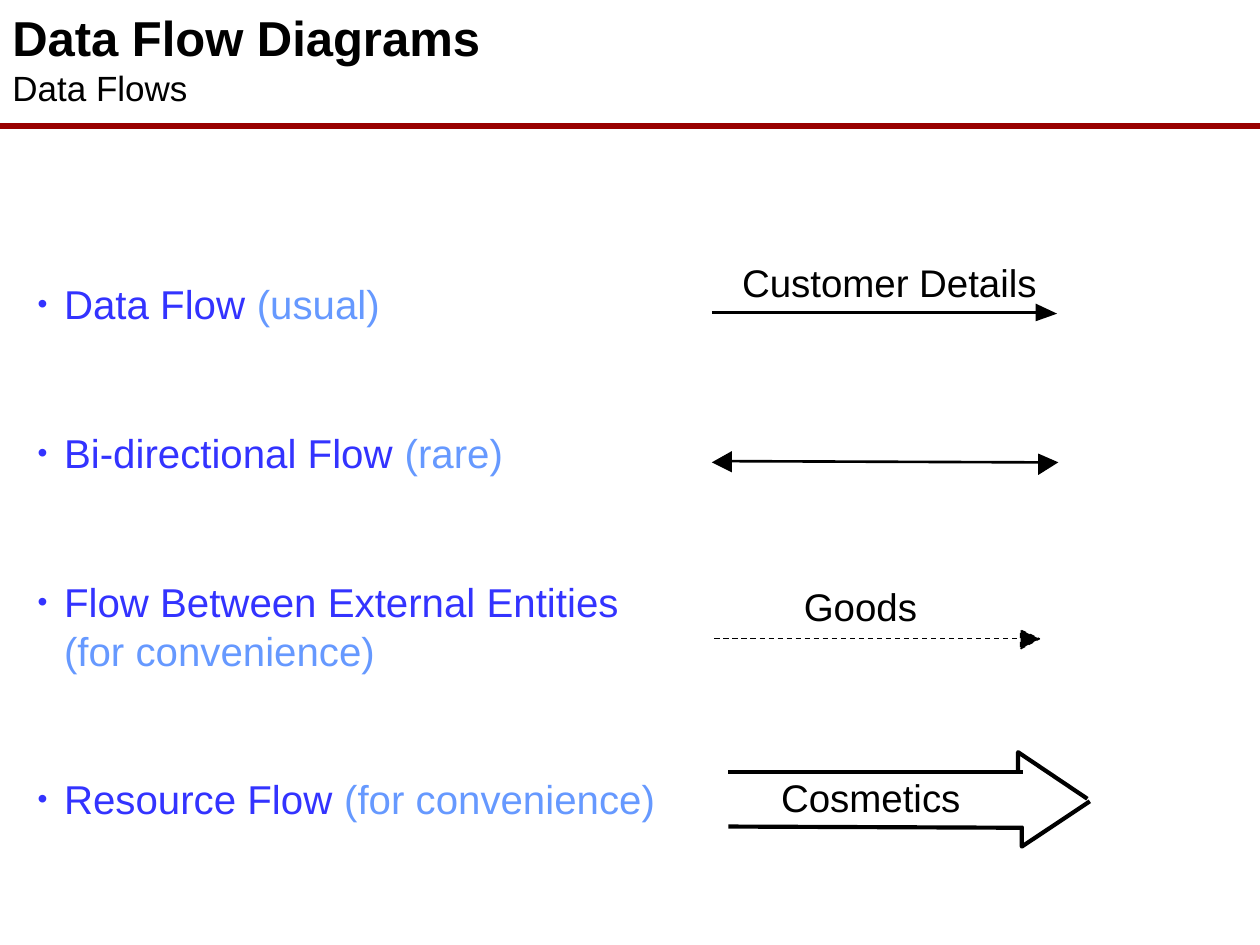
from typing import NamedTuple

from lxml import etree
from pptx import Presentation
from pptx.dml.color import RGBColor
from pptx.enum.dml import MSO_LINE
from pptx.enum.shapes import MSO_CONNECTOR
from pptx.enum.text import MSO_ANCHOR
from pptx.oxml.ns import qn
from pptx.util import Inches, Pt

STRAIGHT = MSO_CONNECTOR.STRAIGHT
DASH = MSO_LINE.DASH
MIDDLE = MSO_ANCHOR.MIDDLE
FONT = "Arial"
BLACK, RED, BLUE, LIGHT_BLUE = "000000", "990000", "3333FF", "6699FF"

Point = tuple[float, float]


class Line(NamedTuple):
    start: Point
    end: Point
    width: float
    color: str = BLACK
    dashed: bool = False


class Outline(NamedTuple):
    points: list[Point]
    filled: bool = True
    width: float = 0
    dashed: bool = False


class Label(NamedTuple):
    text: str
    left: float
    top: float
    width: float


class Bullet(NamedTuple):
    name: str
    remark: str


LINES = [
    Line((0, 1), (10, 1), 4, RED),
    Line((5.65, 2.48), (8.24, 2.48), 1.5),
    Line((5.78, 3.66), (8.26, 3.67), 1.5),
    Line((5.67, 5.07), (8.12, 5.07), 0.75, dashed=True),
    Line((5.78, 6.13), (8.12, 6.13), 2.38),
    Line((5.78, 6.56), (8.12, 6.57), 2.38),
]
OUTLINES = [
    Outline([(8.22, 2.55), (8.39, 2.49), (8.22, 2.41)]),
    Outline([(5.81, 3.58), (5.65, 3.67), (5.81, 3.75)]),
    Outline([(8.24, 3.77), (8.4, 3.67), (8.24, 3.6)]),
    Outline([(8.1, 5.15), (8.25, 5.07), (8.1, 5)], width=0.75, dashed=True),
    Outline([(8.08, 6.13), (8.08, 5.97), (8.63, 6.34)], False, 2.38),
    Outline([(8.11, 6.56), (8.11, 6.72), (8.65, 6.36)], False, 2.38),
]
LABELS = [
    Label("Customer Details", 5.89, 2.06, 2.34),
    Label("Goods", 6.38, 4.63, 0.9),
    Label("Cosmetics", 6.2, 6.14, 1.47),
]
BULLETS = [
    Bullet("Data Flow ", "(usual)"),
    Bullet("Bi-directional Flow ", "(rare)"),
    Bullet("Flow Between External Entities ", "(for convenience)"),
    Bullet("Resource Flow ", "(for convenience)"),
]


def rgb(color: str) -> RGBColor:
    return RGBColor.from_string(color)


def style_line(line, width: float, color: str, dashed: bool) -> None:
    line.color.rgb = rgb(color)
    line.width = Pt(width)
    if dashed:
        line.dash_style = DASH


def draw_line(slide, spec_line: Line) -> None:
    ends = [Inches(value) for value in (*spec_line.start, *spec_line.end)]
    connector = slide.shapes.add_connector(STRAIGHT, *ends)
    style_line(connector.line, spec_line.width, spec_line.color, spec_line.dashed)
    etree.SubElement(connector.element.spPr, qn("a:effectLst"))


def draw_outline(slide, outline: Outline) -> None:
    """Draw a closed arrowhead, or an open stroke when it is not filled."""
    points = [(Inches(x), Inches(y)) for x, y in outline.points]
    builder = slide.shapes.build_freeform(*points[0])
    builder.add_line_segments(points[1:], close=outline.filled)
    shape = builder.convert_to_shape()
    shape.shadow.inherit = False
    if outline.filled:
        shape.fill.solid()
        shape.fill.fore_color.rgb = rgb(BLACK)
    else:
        shape.fill.background()
    if outline.width:
        style_line(shape.line, outline.width, BLACK, outline.dashed)
    else:
        shape.line.fill.background()


def add_text_frame(slide, left: float, top: float, width: float, height: float):
    box = slide.shapes.add_textbox(*map(Inches, (left, top, width, height)))
    box.text_frame.word_wrap = True
    return box.text_frame


def set_font(font, size: float, color: str) -> None:
    font.name = FONT
    font.size = Pt(size)
    font.color.rgb = rgb(color)


def add_run(paragraph, text: str, size: float, color: str, bold: bool = False) -> None:
    run = paragraph.add_run()
    run.text = text
    set_font(run.font, size, color)
    run.font.bold = bold


def draw_title(slide) -> None:
    frame = add_text_frame(slide, 0, 0, 10, 0.92)
    frame.vertical_anchor = MIDDLE
    paragraph = frame.paragraphs[0]
    add_run(paragraph, "Data Flow Diagrams", 28, BLACK, bold=True)
    paragraph.add_line_break()
    add_run(paragraph, "Data Flows", 20, BLACK)


def draw_label(slide, label: Label) -> None:
    frame = add_text_frame(slide, label.left, label.top, label.width, 0.37)
    frame.word_wrap = False
    frame.margin_left = frame.margin_right = 0
    frame.margin_top = frame.margin_bottom = 0
    paragraph = frame.paragraphs[0]
    paragraph.text = label.text
    set_font(paragraph.font, 22, BLACK)


def add_bullet_mark(paragraph) -> None:
    properties = paragraph._p.get_or_add_pPr()
    indent = Inches(0.21)
    properties.set("marL", str(indent))
    properties.set("indent", str(-indent))
    color = etree.SubElement(properties, qn("a:buClr"))
    etree.SubElement(color, qn("a:srgbClr"), val=BLUE)
    etree.SubElement(properties, qn("a:buSzPct"), val="70000")
    etree.SubElement(properties, qn("a:buFont"), typeface=FONT)
    etree.SubElement(properties, qn("a:buChar"), char="•")


def draw_bullets(slide, bullets: list[Bullet]) -> None:
    frame = add_text_frame(slide, 0.2, 2.17, 5.12, 4.41)
    for index, bullet in enumerate(bullets):
        paragraph = frame.add_paragraph() if index else frame.paragraphs[0]
        paragraph.line_spacing = Pt(27.6)
        paragraph.space_after = Pt(57.5)
        add_bullet_mark(paragraph)
        add_run(paragraph, bullet.name, 23, BLUE)
        add_run(paragraph, bullet.remark, 23, LIGHT_BLUE)


def main() -> None:
    presentation = Presentation()
    presentation.slide_width = Inches(10)
    presentation.slide_height = Inches(7.5)
    slide = presentation.slides.add_slide(presentation.slide_layouts[6])
    draw_title(slide)
    for line in LINES:
        draw_line(slide, line)
    for outline in OUTLINES:
        draw_outline(slide, outline)
    for label in LABELS:
        draw_label(slide, label)
    draw_bullets(slide, BULLETS)
    presentation.save("out.pptx")


if __name__ == "__main__":
    main()
